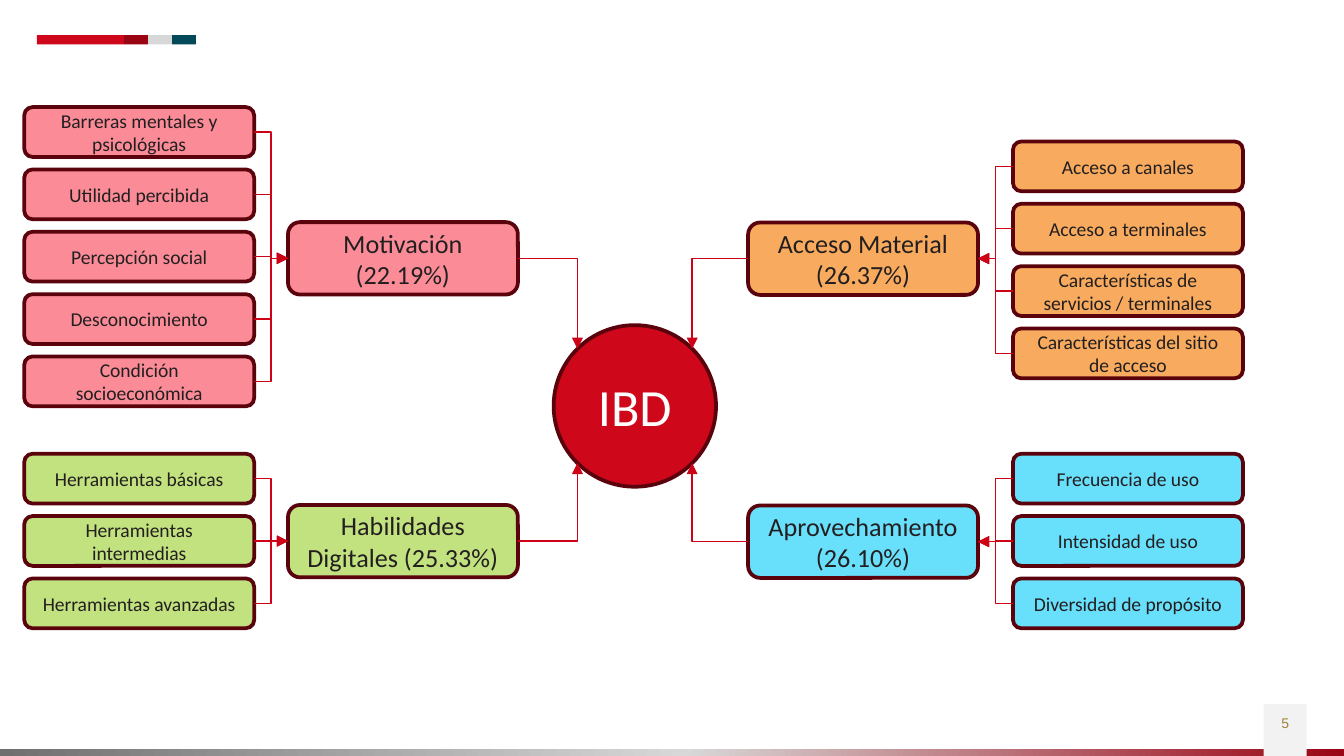
from dataclasses import dataclass

from lxml.etree import SubElement
from pptx import Presentation
from pptx.dml.color import RGBColor
from pptx.enum.shapes import MSO_CONNECTOR as Link, MSO_SHAPE as Form
from pptx.enum.text import MSO_ANCHOR as Anchor, PP_ALIGN as Align
from pptx.oxml.ns import qn
from pptx.util import Pt


@dataclass(frozen=True)
class Theme:
    red: str = "CE071B"
    dark_red: str = "9A0514"
    outline: str = "5A030C"
    link: str = "CE0217"
    teal: str = "024959"
    grey: str = "D8D8D8"
    mid_grey: str = "706F6F"
    pale_grey: str = "F2F2F2"
    gold: str = "A0813C"
    ink: str = "231F20"
    white: str = "FFFFFF"
    pink: str = "FB8C97"
    green: str = "C2E17F"
    orange: str = "F8AB5E"
    blue: str = "68DFFB"
    body_font: str = "Calibri"
    number_font: str = "Arial"
    core_size: float = 28
    hub_size: float = 14
    factor_size: float = 10.5
    number_size: float = 7.5


THEME = Theme()
PAGE_WIDTH, PAGE_HEIGHT = 720, 405
BOX_WIDTH, HUB_HEIGHT, FACTOR_HEIGHT, FACTOR_PITCH = 123.2, 38.8, 26.7, 33.4
TOP, LEFT, BOTTOM, RIGHT = range(4)

# Hub text, colour, hub left and top, factor left and top, core joint, factors
BRANCHES = [
    ("Motivación (22.19%)", THEME.pink, 154.3, 119, 13, 57.4, 1,
     ["Barreras mentales y psicológicas", "Utilidad percibida",
      "Percepción social", "Desconocimiento", "Condición socioeconómica"]),
    ("Habilidades Digitales (25.33%)", THEME.green, 154.3, 270.5, 13, 243.1, 3,
     ["Herramientas básicas", "Herramientas intermedias",
      "Herramientas avanzadas"]),
    ("Acceso Material (26.37%)", THEME.orange, 400.8, 119.2, 542.7, 75.8, 7,
     ["Acceso a canales", "Acceso a terminales",
      "Características de servicios / terminales",
      "Características del sitio de acceso"]),
    ("Aprovechamiento (26.10%)", THEME.blue, 400.8, 270.8, 542.7, 243.1, 5,
     ["Frecuencia de uso", "Intensidad de uso", "Diversidad de propósito"]),
]


def rgb(value):
    return RGBColor.from_string(value)


def write(box, text, size, color, font=THEME.body_font):
    para = box.text_frame.paragraphs[0]
    para.alignment = Align.CENTER
    span = para.add_run()
    span.text = text
    span.font.name = font
    span.font.size = Pt(size)
    span.font.color.rgb = rgb(color)


def add_band(page, left, top, width, height, color):
    band = page.shapes.add_shape(
        Form.RECTANGLE, Pt(left), Pt(top), Pt(width), Pt(height))
    band.shadow.inherit = False
    band.line.fill.background()
    band.fill.solid()
    band.fill.fore_color.rgb = rgb(color)
    return band


def add_node(page, form, left, top, width, height, fill, text, size, color):
    node = page.shapes.add_shape(
        form, Pt(left), Pt(top), Pt(width), Pt(height))
    node.shadow.inherit = False
    node.fill.solid()
    node.fill.fore_color.rgb = rgb(fill)
    node.line.color.rgb = rgb(THEME.outline)
    node.line.width = Pt(2)
    node.text_frame.word_wrap = True
    node.text_frame.vertical_anchor = Anchor.MIDDLE
    write(node, text, size, color)
    return node


def add_link(page, start, start_side, end_x=0, end_y=0):
    link = page.shapes.add_connector(Link.ELBOW, 0, 0, end_x, end_y)
    link.begin_connect(start, start_side)
    link.line.color.rgb = rgb(THEME.link)
    link.line.width = Pt(0.75)
    SubElement(link.line._get_or_add_ln(), qn("a:tailEnd"), type="triangle")
    SubElement(link._element.spPr, qn("a:effectLst"))
    return link


def link_to_core(page, hub, side, core, joint):
    # The circle's diagonal joints lie at 45 degrees
    reach = 0.5 ** 0.5 / 2
    across = -reach if side == RIGHT else reach
    down = -reach if joint in (1, 7) else reach
    link = add_link(page, hub, side,
                    int(core.left + core.width * (0.5 + across)),
                    int(core.top + core.height * (0.5 + down)))
    link._element.spPr.find(qn("a:prstGeom")).set("prst", "bentConnector2")
    joints = link._element.find(".//" + qn("p:cNvCxnSpPr"))
    SubElement(joints, qn("a:endCxn"), id=str(core.shape_id), idx=str(joint))


def add_frame(page):
    # Footer gradient and page number
    footer = add_band(page, 0, 401.2, PAGE_WIDTH, 3.8, THEME.grey)
    footer.fill.gradient()
    footer.fill.gradient_angle = 0
    stops = footer.fill._fill._gradFill.find(qn("a:gsLst"))
    for stop in list(stops):
        stops.remove(stop)
    for percent, color in ((0, THEME.mid_grey), (51, THEME.grey),
                           (100, THEME.dark_red)):
        stop = SubElement(stops, qn("a:gs"), pos=str(percent * 1000))
        SubElement(stop, qn("a:srgbClr"), val=color)
    add_band(page, 677, 377.2, 23, 27.8, THEME.pale_grey)
    number = page.shapes.add_textbox(Pt(677), Pt(379.4), Pt(23), Pt(21.6))
    number.text_frame.word_wrap = True
    write(number, "5", THEME.number_size, THEME.gold, THEME.number_font)

    # Colour strip at the top
    left = 19.8
    for width, color in ((46.8, THEME.red), (12.8, THEME.dark_red),
                         (12.8, THEME.grey), (12.8, THEME.teal)):
        add_band(page, left, 18.8, width, 5, color)
        left += width


def main():
    deck = Presentation()
    deck.slide_width, deck.slide_height = Pt(PAGE_WIDTH), Pt(PAGE_HEIGHT)
    page = deck.slides.add_slide(deck.slide_layouts[6])
    add_frame(page)

    # Branches: a hub, its factors and the links between them
    hubs = []
    for (title, color, hub_left, hub_top, factor_left, factor_top, joint,
         factors) in BRANCHES:
        hub = add_node(page, Form.ROUNDED_RECTANGLE, hub_left, hub_top,
                       BOX_WIDTH, HUB_HEIGHT, color, title,
                       THEME.hub_size, THEME.ink)
        outer, inner = (LEFT, RIGHT) if factor_left < hub_left else (RIGHT, LEFT)
        hubs.append((hub, inner, joint))
        for row, text in enumerate(factors):
            factor = add_node(page, Form.ROUNDED_RECTANGLE, factor_left,
                              factor_top + row * FACTOR_PITCH, BOX_WIDTH,
                              FACTOR_HEIGHT, color, text,
                              THEME.factor_size, THEME.ink)
            add_link(page, factor, inner).end_connect(hub, outer)

    # Core circle, fed by every hub
    core = add_node(page, Form.OVAL, 296.6, 174.2, 87, 86.6, THEME.red,
                    "IBD", THEME.core_size, THEME.white)
    for hub, side, joint in hubs:
        link_to_core(page, hub, side, core, joint)

    deck.save("out.pptx")


if __name__ == "__main__":
    main()
